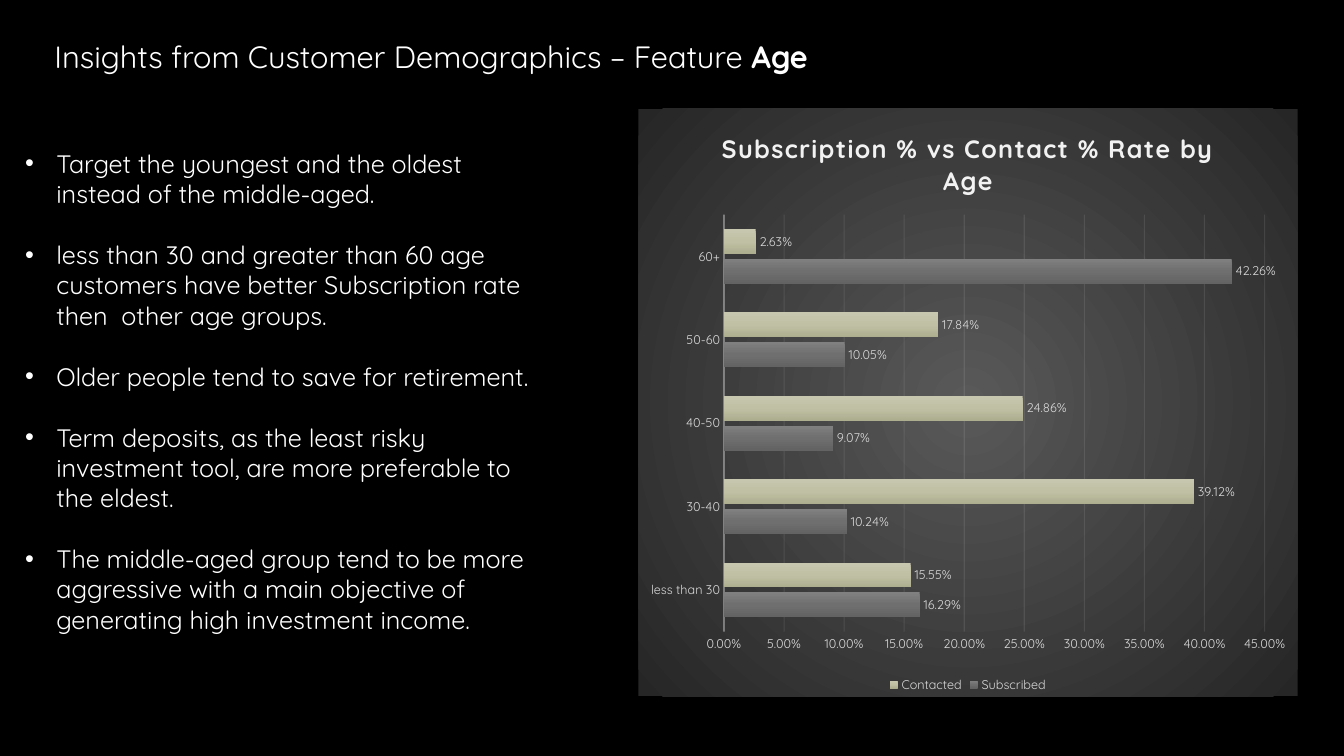
from lxml.etree import SubElement
from pptx import Presentation
from pptx.chart.data import CategoryChartData
from pptx.dml.color import RGBColor
from pptx.enum.chart import XL_CHART_TYPE, XL_LABEL_POSITION, XL_LEGEND_POSITION, XL_TICK_MARK
from pptx.enum.text import MSO_ANCHOR, MSO_AUTO_SIZE, PP_ALIGN
from pptx.oxml import parse_xml
from pptx.oxml.ns import nsdecls, qn
from pptx.util import Inches, Pt

TITLE = [("Insights from Customer Demographics – Feature ", False), ("Age", True)]
INSIGHTS = [
    "Target the youngest and the oldest instead of the middle-aged.",
    "less than 30 and greater than 60 age customers have better Subscription rate then  other age groups.",
    "Older people tend to save for retirement.",
    "Term deposits, as the least risky investment tool, are more preferable to the eldest.",
    "The middle-aged group tend to be more aggressive with a main objective of generating high investment income.",
]
AGE_GROUPS = ["less than 30", "30-40", "40-50", "50-60", "60+"]
RATES = {
    "Subscribed": [0.1629, 0.1024, 0.0907, 0.1005, 0.4226],
    "Contacted": [0.1555, 0.3912, 0.2486, 0.1784, 0.0263],
}
BAR_STOPS = {
    "Subscribed": {0: "808080", 50: "6F6F6F", 100: "636363"},
    "Contacted": {0: "C7C7B0", 50: "C0C0A4", 100: "ADAD90"},
}
PANEL_STOPS = {0: "595959", 100: "262626"}
LINEAR = '<a:lin ang="5400000" scaled="0"/>'
CIRCLE = '<a:path path="circle"><a:fillToRect l="50000" t="50000" r="50000" b="50000"/></a:path>'
PERCENT = "0.00%"


def color(hex_value):
    return RGBColor.from_string(hex_value)


def gradient(stops, direction):
    marks = "".join(
        f'<a:gs pos="{share * 1000}"><a:srgbClr val="{value}"/></a:gs>'
        for share, value in stops.items()
    )
    return parse_xml(
        f'<a:gradFill {nsdecls("a")} rotWithShape="1"><a:gsLst>{marks}</a:gsLst>{direction}</a:gradFill>'
    )


class InsightSlide:
    font_name = "Quicksand"
    white = "FFFFFF"
    label_color = "D9D9D9"
    line_color = "F2F2F2"

    def __init__(self, presentation):
        self.width = presentation.slide_width
        self.height = presentation.slide_height
        self.slide = presentation.slides.add_slide(presentation.slide_layouts[5])
        self.slide.background.fill.solid()
        self.slide.background.fill.fore_color.rgb = color("000000")

    def box(self, left, top, width, height):
        return (
            int(self.width * left / 100),
            int(self.height * top / 100),
            int(self.width * width / 100),
            int(self.height * height / 100),
        )

    def style(self, font, size, hex_value, bold=False):
        font.name = self.font_name
        font.size = Pt(size)
        font.bold = bold
        font.color.rgb = color(hex_value)

    def frame(self, shape):
        text_frame = shape.text_frame
        text_frame.word_wrap = True
        text_frame.auto_size = MSO_AUTO_SIZE.NONE
        text_frame.vertical_anchor = MSO_ANCHOR.TOP
        return text_frame

    def title(self, parts, area):
        shape = self.slide.shapes.title
        shape.left, shape.top, shape.width, shape.height = self.box(*area)
        paragraph = self.frame(shape).paragraphs[0]
        paragraph.alignment = PP_ALIGN.LEFT
        for text, bold in parts:
            run = paragraph.add_run()
            run.text = text
            self.style(run.font, 22, self.white, bold)

    def bullets(self, items, area):
        text_frame = self.frame(self.slide.shapes.add_textbox(*self.box(*area)))
        text_frame.text = "\n".join(items)
        for paragraph in text_frame.paragraphs:
            paragraph.space_after = Pt(22)
            self.style(paragraph.runs[0].font, 18, self.white)
            properties = paragraph._p.get_or_add_pPr()
            properties.set("marL", str(Inches(0.31)))
            properties.set("indent", str(-Inches(0.31)))
            SubElement(properties, qn("a:buFont"), typeface="Arial")
            SubElement(properties, qn("a:buChar"), char="•")

    def line(self, chart_format, width, opacity):
        chart_format.line.width = Pt(width)
        chart_format.line.color.rgb = color(self.line_color)
        tint = chart_format._element.find(f"{qn('c:spPr')}//{qn('a:srgbClr')}")
        SubElement(tint, qn("a:alpha"), val=str(opacity * 1000))

    def axis(self, axis):
        axis.major_tick_mark = axis.minor_tick_mark = XL_TICK_MARK.NONE
        self.style(axis.tick_labels.font, 9, self.label_color)

    def chart_title(self, chart, text):
        chart.has_title = True
        chart.chart_title.include_in_layout = False
        paragraph = chart.chart_title.text_frame.paragraphs[0]
        paragraph.text = text
        self.style(paragraph.runs[0].font, 18, self.line_color, True)
        paragraph.runs[0]._r.get_or_add_rPr().set("spc", "100")

    def plot_area(self, chart, left, top, width, height):
        area = chart.element.find(f".//{qn('c:plotArea')}")
        for layout in area.findall(qn("c:layout")):
            area.remove(layout)
        layout = parse_xml(f"<c:layout {nsdecls('c')}/>")
        manual = SubElement(layout, qn("c:manualLayout"))
        settings = dict(layoutTarget="inner", xMode="edge", yMode="edge",
                        x=left, y=top, w=width, h=height)
        for name, value in settings.items():
            SubElement(manual, qn(f"c:{name}"), val=str(value))
        area.insert(0, layout)

    def bar_chart(self, heading, area):
        data = CategoryChartData(number_format=PERCENT)
        data.categories = AGE_GROUPS
        for name, values in RATES.items():
            data.add_series(name, values)
        chart = self.slide.shapes.add_chart(
            XL_CHART_TYPE.BAR_CLUSTERED, *self.box(*area), data
        ).chart
        self.style(chart.font, 10, self.white)
        self.chart_title(chart, heading)
        self.plot_area(chart, 0.13, 0.18, 0.82, 0.71)

        panel = parse_xml(f"<c:spPr {nsdecls('c', 'a')}/>")
        panel.append(gradient(PANEL_STOPS, CIRCLE))
        SubElement(SubElement(panel, qn("a:ln")), qn("a:noFill"))
        chart.element.find(qn("c:chart")).addnext(panel)

        self.axis(chart.category_axis)
        self.line(chart.category_axis.format, 1, 54)
        value_axis = chart.value_axis
        self.axis(value_axis)
        value_axis.minimum_scale, value_axis.maximum_scale = 0, 0.45
        value_axis.major_unit = 0.05
        value_axis.tick_labels.number_format = PERCENT
        value_axis.tick_labels.number_format_is_linked = False
        value_axis.format.line.fill.background()
        self.line(value_axis.major_gridlines.format, 0.75, 10)

        chart.has_legend = True
        chart.legend.position = XL_LEGEND_POSITION.BOTTOM
        chart.legend.include_in_layout = False
        self.style(chart.legend.font, 9, self.label_color)

        plot = chart.plots[0]
        plot.gap_width, plot.overlap = 115, -20
        plot.vary_by_categories = False
        for series in plot.series:
            series.format.line.fill.background()
            bar = series._element.find(qn("c:spPr"))
            bar.insert(0, gradient(BAR_STOPS[series.name], LINEAR))
            labels = series.data_labels
            labels.show_value = True
            labels.position = XL_LABEL_POSITION.OUTSIDE_END
            labels.number_format = PERCENT
            labels.number_format_is_linked = False
            self.style(labels.font, 9, self.label_color)


def main():
    presentation = Presentation()
    presentation.slide_width = Inches(13.33)
    presentation.slide_height = Inches(7.5)
    slide = InsightSlide(presentation)
    slide.title(TITLE, (3.3, 4.27, 63.17, 6.27))
    slide.bullets(INSIGHTS, (1.13, 18.93, 39.31, 70))
    slide.bar_chart("Subscription % vs Contact % Rate by Age", (47.49, 14.4, 49.06, 77.73))
    presentation.save("out.pptx")


if __name__ == "__main__":
    main()
